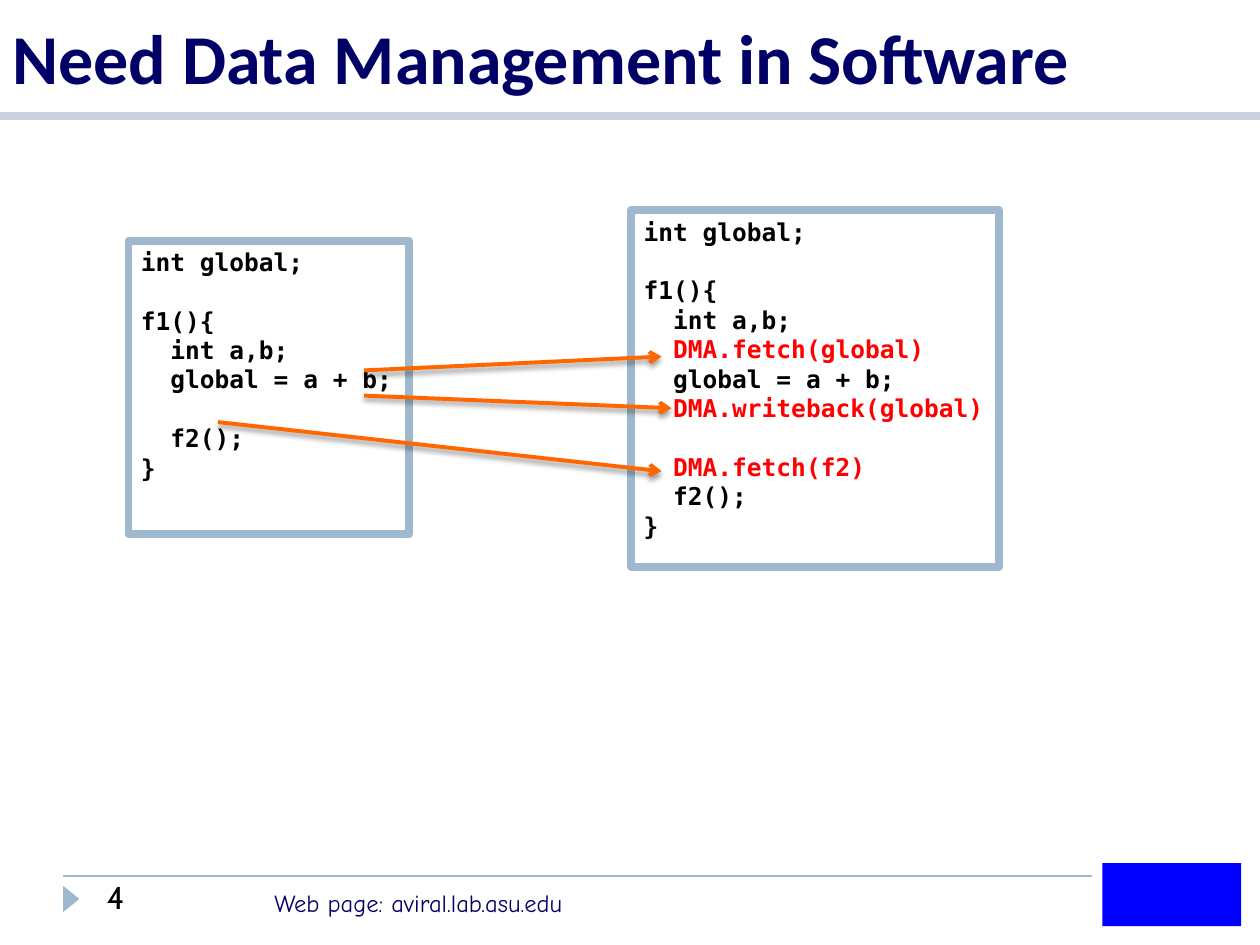
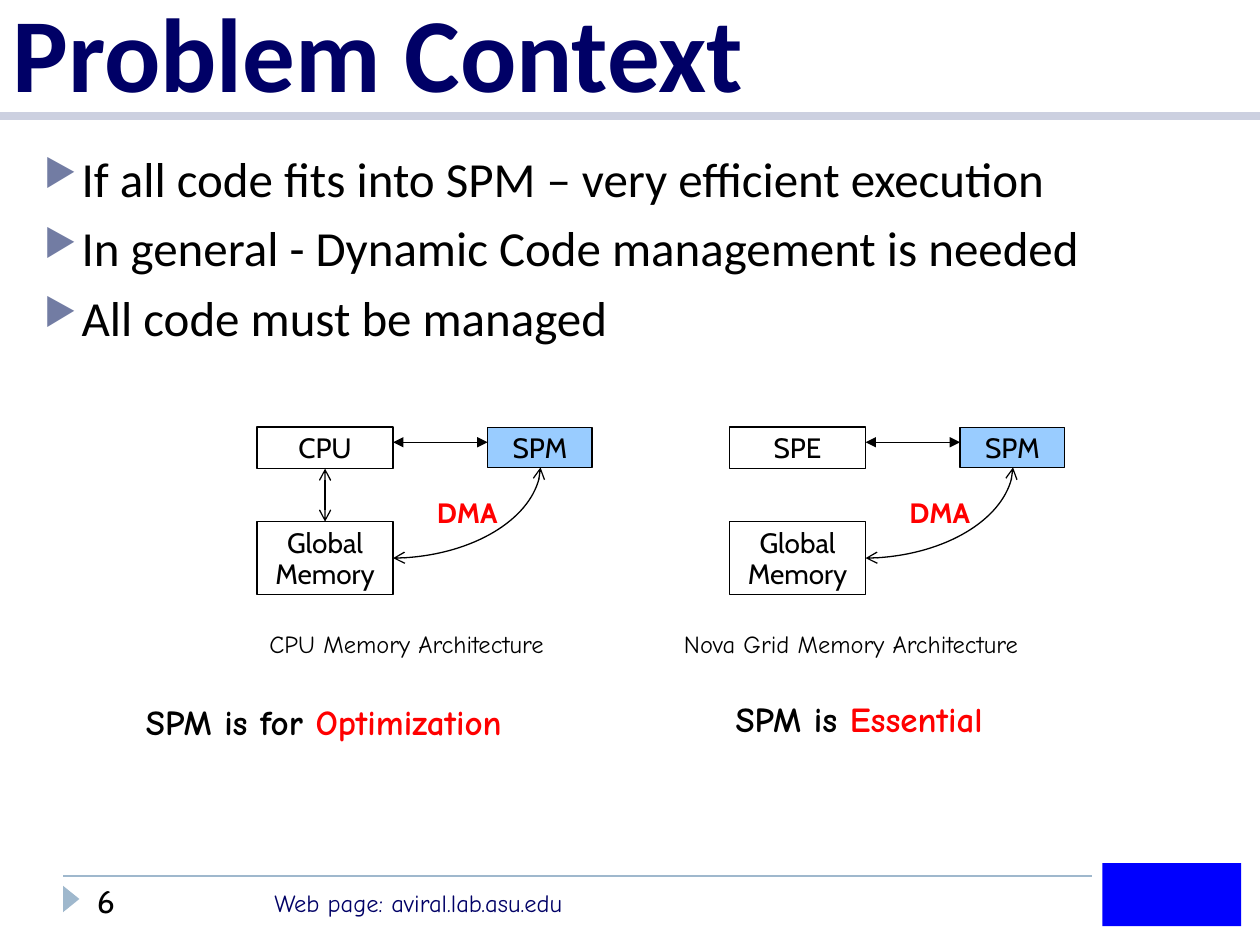
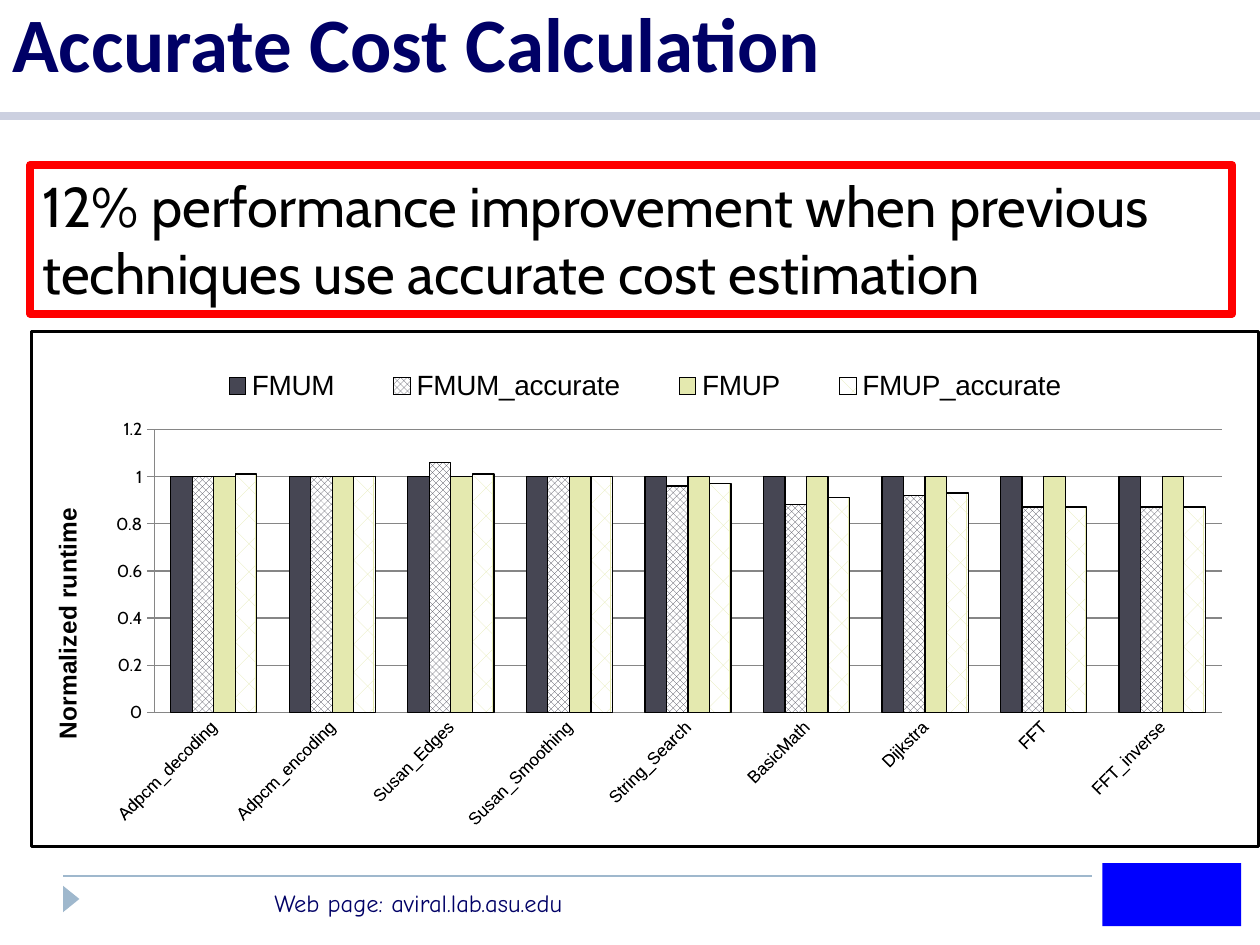
"""Build three slides on data and code management in software."""
from lxml.etree import SubElement
from pptx import Presentation
from pptx.chart.data import CategoryChartData
from pptx.dml.color import RGBColor
from pptx.enum.chart import XL_CHART_TYPE as ChartType, XL_LEGEND_POSITION as LegendSide
from pptx.enum.chart import XL_TICK_MARK as Tick
from pptx.enum.dml import MSO_PATTERN as Pattern
from pptx.enum.shapes import MSO_CONNECTOR as Link, MSO_SHAPE as Preset
from pptx.enum.text import MSO_ANCHOR as Anchor, PP_ALIGN as Align
from pptx.oxml import parse_xml
from pptx.oxml.ns import nsdecls, qn
from pptx.util import Inches, Pt

NAVY, BLACK, WHITE, RED = "000066", "000000", "FFFFFF", "FF0000"
STEEL, BAND, ORANGE, SKY = "9FB8CD", "CCD0E0", "FF6600", "99CCFF"
SLATE, LIME, GREY, LOGO_BLUE, BULLET = "464653", "E4E9AF", "868686", "0000FF", "727CA3"

CODE = dict(name="DejaVu Sans Mono", size=Pt(14), bold=True)
BODY = dict(name="Calibri", size=Pt(28))
NUMBER = dict(name="Cabin", size=Pt(18))
CALLOUT = dict(name="Cabin", size=Pt(32))
BLOCK = dict(name="Cabin", size=Pt(16))
CAPTION = dict(name="Comic Neue", size=Pt(14))
VERDICT = dict(name="Comic Neue", size=Pt(20), bold=True)
TIGHT = dict(line_spacing=0.93)
CENTERED = dict(alignment=Align.CENTER, line_spacing=0.93)
DIAGRAM_FRAME = dict(margin_top=Inches(0.07))
BLOCK_FRAME = dict(margin_top=Inches(0.07), word_wrap=False, vertical_anchor=Anchor.MIDDLE)
CODE_GAP = Pt(16.8)

SOURCE_CODE = ["int global;", "", "f1(){", "  int a,b;", "  global = a + b;", "",
               "  f2();", "}"]
MANAGED_CODE = ["int global;", "", "f1(){", "  int a,b;", "  DMA.fetch(global)",
                "  global = a + b;", "  DMA.writeback(global)", "",
                "  DMA.fetch(f2)", "  f2();", "}"]
FETCH_ARROWS = [((2.89, 2.94), (5.25, 2.83)), ((2.89, 3.14), (5.33, 3.24)),
                ((1.73, 3.35), (5.25, 3.74))]
CONTEXT = ["If all code fits into SPM – very efficient execution",
           "In general - Dynamic Code management is needed",
           "All code must be managed"]
BENCHMARKS = ["Adpcm_decoding", "Adpcm_encoding", "Susan_Edges", "Susan_Smoothing",
              "String_Search", "BasicMath", "Dijkstra", "FFT", "FFT_inverse"]
RUNTIMES = [
    ("FMUM", [1] * 9, SLATE, None),
    ("FMUM_accurate", [1, 1, 1.06, 1, 0.96, 0.88, 0.92, 0.87, 0.87], SLATE, "openDmnd"),
    ("FMUP", [1] * 9, LIME, None),
    ("FMUP_accurate", [1.01, 1, 1.01, 1, 0.97, 0.91, 0.93, 0.87, 0.87], LIME, "divot"),
]


def color(hex_code):
    """Turn a hex string into a colour."""
    return RGBColor.from_string(hex_code)


def apply(target, values):
    """Set every format value on the target."""
    for key, value in values.items():
        setattr(target, key, value)


def paint_line(line, hex_code, width):
    """Give a line its colour and width."""
    line.color.rgb = color(hex_code)
    line.width = Pt(width)


def write(frame, paragraphs, font, ink=BLACK, layout=None, box=None):
    """Fill a frame; a paragraph is a string or a list of (text, colour) runs."""
    apply(frame, {"word_wrap": True, "vertical_anchor": Anchor.TOP, **(box or {})})
    for index, content in enumerate(paragraphs):
        paragraph = frame.paragraphs[0] if index == 0 else frame.add_paragraph()
        apply(paragraph, {"alignment": Align.LEFT, **(layout or {})})
        for text, hex_code in [(content, ink)] if isinstance(content, str) else content:
            run = paragraph.add_run()
            run.text = text
            apply(run.font, font)
            run.font.color.rgb = color(hex_code)


def add_text(slide, at, paragraphs, font, **options):
    """Add a text box and return its frame."""
    frame = slide.shapes.add_textbox(*map(Inches, at)).text_frame
    write(frame, paragraphs, font, **options)
    return frame


def add_block(slide, at, fill=None, edge=None, width=0.75, preset=Preset.RECTANGLE):
    """Add a preset shape with optional fill and outline."""
    block = slide.shapes.add_shape(preset, *map(Inches, at))
    block.shadow.inherit = False
    if fill:
        block.fill.solid()
        block.fill.fore_color.rgb = color(fill)
    else:
        block.fill.background()
    if edge:
        paint_line(block.line, edge, width)
    else:
        block.line.fill.background()
    return block


def add_link(slide, start, end, ink=BLACK, width=0.75, head=None, tail=None,
             curved=False, shadow=False):
    """Add a straight or quarter-curve connector with optional arrowheads."""
    kind = Link.CURVE if curved else Link.STRAIGHT
    link = slide.shapes.add_connector(kind, *map(Inches, (*start, *end)))
    paint_line(link.line, ink, width)
    properties = link._element.spPr
    if curved:
        properties.find(qn("a:prstGeom")).set("prst", "curvedConnector2")
    for tag, tip in (("a:headEnd", head), ("a:tailEnd", tail)):
        if tip:
            SubElement(properties.find(qn("a:ln")), qn(tag), type=tip)
    effects = SubElement(properties, qn("a:effectLst"))
    if shadow:
        cast = SubElement(effects, qn("a:outerShdw"), blurRad=str(Pt(3)),
                          dist=str(Pt(2)), dir="5400000", rotWithShape="0")
        ink_element = SubElement(cast, qn("a:srgbClr"), val=BLACK)
        SubElement(ink_element, qn("a:alpha"), val="40000")


def add_base_slide(deck, title, size, title_height):
    """Add a blank slide with the shared band, footer and title."""
    slide = deck.slides.add_slide(deck.slide_layouts[6])
    add_link(slide, (0.5, 6.95), (8.67, 6.95), STEEL, 1)
    add_link(slide, (0, 0.92), (10, 0.92), BAND, 5)
    marker = add_block(slide, (0.46, 7.07, 0.21, 0.13), STEEL,
                       preset=Preset.ISOSCELES_TRIANGLE)
    marker.rotation = 90
    add_text(slide, (2.08, 7, 3.75, 0.34), ["Web page: aviral.lab.asu.edu"], CAPTION,
             ink=NAVY)
    add_block(slide, (8.75, 6.85, 1.1, 0.5), LOGO_BLUE)
    add_text(slide, (0, 0, 10, title_height), [title],
             dict(name="Calibri", size=Pt(size), bold=True), ink=NAVY,
             box=dict(vertical_anchor=Anchor.BOTTOM))
    return slide


def add_code(slide, at, lines):
    """Add a framed listing with DMA calls in red and gaps for empty lines."""
    frame = add_block(slide, at, WHITE, STEEL, 4.5).text_frame
    shown = [line for line in lines if line]
    write(frame, [[(line, RED if "DMA" in line else BLACK)] for line in shown], CODE)
    after_gap = [before == "" for before, line in zip([None] + lines, lines) if line]
    for paragraph, gap in zip(frame.paragraphs, after_gap):
        if gap:
            paragraph.space_before = CODE_GAP


def add_bullets(slide, at, items):
    """Add a list with triangle bullets."""
    frame = add_text(slide, at, items, BODY)
    for index, paragraph in enumerate(frame.paragraphs):
        properties = paragraph._p.get_or_add_pPr()
        properties.set("marL", str(Inches(0.3)))
        properties.set("indent", str(-Inches(0.3)))
        if index:
            paragraph.space_before = Pt(6)
        tint = SubElement(properties, qn("a:buClr"))
        SubElement(tint, qn("a:srgbClr"), val=BULLET)
        SubElement(properties, qn("a:buSzPct"), val="76000")
        SubElement(properties, qn("a:buChar"), char="▶")


def add_architecture(slide, left, processor, direct_access):
    """Draw a processor, its scratchpad and global memory."""
    memory_right, scratchpad = left + 1.08, left + 1.83
    for at, lines, fill in (((left, 3.39, 1.08, 0.33), [processor], None),
                            ((scratchpad, 3.39, 0.83, 0.32), ["SPM"], SKY),
                            ((left, 4.14, 1.08, 0.58), ["Global", "Memory"], None)):
        write(add_block(slide, at, fill, BLACK).text_frame, lines, BLOCK,
              layout=CENTERED, box=BLOCK_FRAME)
    add_link(slide, (memory_right, 3.51), (scratchpad, 3.51),
             head="triangle", tail="triangle")
    add_text(slide, (left + 1.33, 3.89, 0.87, 0.37), ["DMA"], {**BLOCK, "bold": True},
             ink=RED, layout=TIGHT, box=DIAGRAM_FRAME)
    add_link(slide, (memory_right, 4.43), (left + 2.25, 3.71), head="arrow",
             tail="arrow", curved=True)
    if direct_access:
        add_link(slide, (left + 0.54, 3.72), (left + 0.54, 4.14),
                 head="arrow", tail="arrow")


def place(parent, index, **fractions):
    """Give a chart part a fixed place as fractions of the chart."""
    for old in parent.findall(qn("c:layout")):
        parent.remove(old)
    layout = parent.makeelement(qn("c:layout"))
    manual = SubElement(layout, qn("c:manualLayout"))
    if index == 0:
        SubElement(manual, qn("c:layoutTarget"), val="inner")
    for mode in ("xMode", "yMode"):
        SubElement(manual, qn(f"c:{mode}"), val="edge")
    for side, fraction in fractions.items():
        SubElement(manual, qn(f"c:{side}"), val=str(fraction))
    parent.insert(index, layout)


def style_axes(chart):
    """Format both axes, the grid and the value title."""
    benchmarks, runtime = chart.category_axis, chart.value_axis
    apply(benchmarks, dict(major_tick_mark=Tick.NONE, minor_tick_mark=Tick.NONE))
    apply(runtime, dict(major_tick_mark=Tick.OUTSIDE, minor_tick_mark=Tick.NONE,
                        minimum_scale=0, maximum_scale=1.2, major_unit=0.2,
                        has_major_gridlines=True))
    for axis, face in ((benchmarks, "Arial"), (runtime, "Cabin")):
        apply(axis.tick_labels.font, dict(name=face, size=Pt(10)))
        axis.tick_labels.font.color.rgb = color(BLACK)
        paint_line(axis.format.line, GREY, 0.75)
    paint_line(runtime.major_gridlines.format.line, GREY, 0.75)
    slant = benchmarks._element.find(qn("c:txPr")).find(qn("a:bodyPr"))
    slant.set("rot", "-2700000")
    slant.set("vert", "horz")
    runtime_title = runtime.axis_title.text_frame.paragraphs[0].add_run()
    runtime_title.text = "Normalized runtime"
    apply(runtime_title.font, dict(name="Arial", size=Pt(14), bold=True))
    runtime_title.font.color.rgb = color(BLACK)


def add_runtime_chart(slide, at):
    """Add the column chart of normalized runtimes."""
    data = CategoryChartData()
    data.categories = BENCHMARKS
    for name, values, _, _ in RUNTIMES:
        data.add_series(name, values)
    chart = slide.shapes.add_chart(ChartType.COLUMN_CLUSTERED, *map(Inches, at), data).chart
    apply(chart, dict(has_title=False, has_legend=True))
    apply(chart.font, dict(name="Cabin", size=Pt(10)))
    chart.font.color.rgb = color(BLACK)
    plot = chart.plots[0]
    apply(plot, dict(gap_width=150, overlap=0, vary_by_categories=False))
    for series, (_, _, hue, pattern) in zip(plot.series, RUNTIMES):
        fill = series.format.fill
        if pattern:
            fill.patterned()
            fill.pattern = Pattern.from_xml(pattern)
            fill.back_color.rgb = color(WHITE)
        else:
            fill.solid()
        fill.fore_color.rgb = color(hue)
        paint_line(series.format.line, BLACK, 0.75)
    style_axes(chart)
    legend = chart.legend
    apply(legend, dict(position=LegendSide.TOP, include_in_layout=False))
    apply(legend.font, dict(name="Arial", size=Pt(16)))
    legend.font.color.rgb = color(BLACK)
    body = chart._chartSpace.find(qn("c:chart"))
    place(body.find(qn("c:plotArea")), 0, x=0.1, y=0.19, w=0.87, h=0.55)
    place(legend._element, 1, x=0.12, y=0.06, w=0.76, h=0.09)
    body.addnext(parse_xml(
        f'<c:spPr {nsdecls("c", "a")}><a:noFill/><a:ln w="{Pt(1.75)}"><a:solidFill>'
        f'<a:srgbClr val="{BLACK}"/></a:solidFill></a:ln></c:spPr>'))


def build_data_slide(deck):
    """Show the code before and after adding data management."""
    slide = add_base_slide(deck, "Need Data Management in Software", 40, 0.83)
    add_text(slide, (0.75, 6.92, 1.41, 0.4), ["4"], NUMBER)
    add_code(slide, (1.02, 1.91, 2.23, 2.33), SOURCE_CODE)
    add_code(slide, (5.01, 1.67, 2.92, 2.83), MANAGED_CODE)
    for start, end in FETCH_ARROWS:
        add_link(slide, start, end, ORANGE, 2.25, tail="arrow", shadow=True)


def build_context_slide(deck):
    """Compare the two memory architectures."""
    slide = add_base_slide(deck, "Problem Context", 60, 0.95)
    add_text(slide, (0.67, 6.95, 1.41, 0.4), ["6"], NUMBER)
    add_bullets(slide, (0.25, 1.13, 9.36, 1.88), CONTEXT)
    add_architecture(slide, 2.04, "CPU", True)
    add_architecture(slide, 5.79, "SPE", False)
    for left, width, caption in ((2.04, 2.67, "CPU Memory Architecture"),
                                 (5.33, 3.13, "Nova Grid Memory Architecture")):
        add_text(slide, (left, 4.94, width, 0.41), [caption], CAPTION, layout=TIGHT,
                 box=DIAGRAM_FRAME)
    for at, lead, role in (((1.06, 5.51, 3.58, 0.5), "SPM is for ", "Optimization"),
                           ((5.74, 5.49, 2.83, 0.5), "SPM is ", "Essential")):
        add_text(slide, at, [[(lead, BLACK), (role, RED)]], VERDICT)


def build_cost_slide(deck):
    """Show the gain from accurate cost estimation."""
    slide = add_base_slide(deck, "Accurate Cost Calculation", 44, 0.75)
    add_runtime_chart(slide, (0.24, 2.62, 9.76, 4.11))
    callout = add_block(slide, (0.24, 1.31, 9.54, 1.18), edge=RED, width=4.5)
    write(callout.text_frame, ["12% performance improvement when previous techniques "
                               "use accurate cost estimation"], CALLOUT)


def main():
    """Build and save the slides."""
    deck = Presentation()
    deck.slide_width, deck.slide_height = Inches(10), Inches(7.5)
    build_data_slide(deck)
    build_context_slide(deck)
    build_cost_slide(deck)
    deck.save("out.pptx")


if __name__ == "__main__":
    main()
